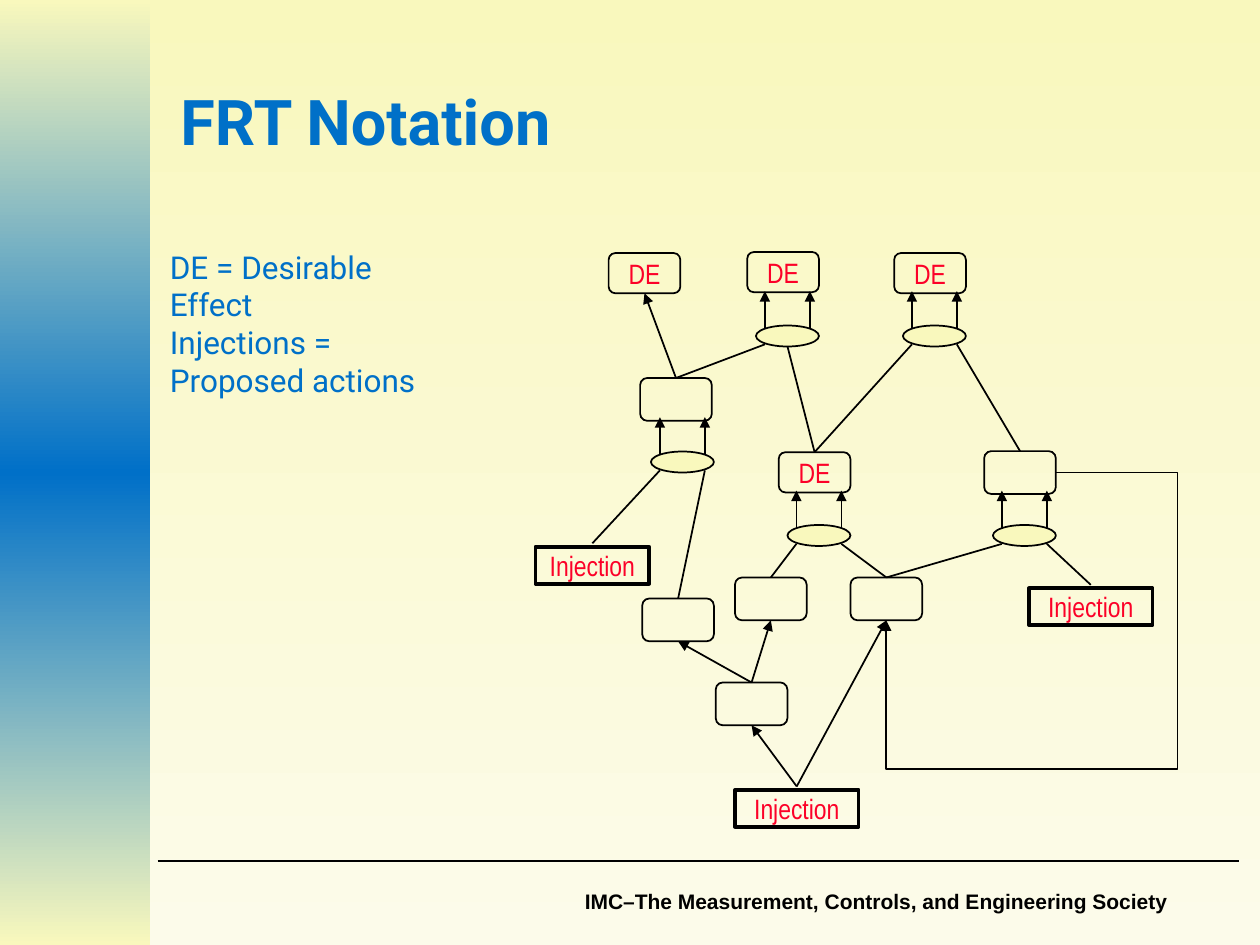
import collections
import copy

import pptx
import pptx.dml.color
import pptx.enum.shapes
import pptx.enum.text
import pptx.util
from lxml import etree
from pptx.oxml.ns import qn

Pt = pptx.util.Pt
RGBColor = pptx.dml.color.RGBColor
SHAPE = pptx.enum.shapes.MSO_SHAPE
CONNECTOR = pptx.enum.shapes.MSO_CONNECTOR
ALIGN = pptx.enum.text.PP_ALIGN
ANCHOR = pptx.enum.text.MSO_ANCHOR

BLACK = RGBColor(0x00, 0x00, 0x00)
RED = RGBColor(0xFC, 0x01, 0x28)
BLUE = RGBColor(0x00, 0x70, 0xC8)
CREAM = RGBColor(0xF9, 0xF8, 0xBD)
IVORY = RGBColor(0xFC, 0xFB, 0xEA)

EFFECT_WIDTH, EFFECT_HEIGHT = 41, 23
ENTITY_HEIGHT = 24.5
INJECTION_HEIGHT = 21
GATE_WIDTH, GATE_HEIGHT = 36, 12

LABEL_FONT = {"name": "Arial Narrow", "size": Pt(16)}
TITLE_FONT = {"name": "Roboto", "size": Pt(36), "bold": True}
LEGEND_FONT = {"name": "Roboto", "size": Pt(18)}
FOOTER_FONT = {"name": "Arial", "size": Pt(12), "bold": True}
TEXT_MARGINS = {"margin_left": Pt(7.2), "margin_right": Pt(7.2),
                "margin_top": Pt(3.6), "margin_bottom": Pt(3.6)}
LABEL_MARGINS = {"margin_left": Pt(1.4), "margin_right": Pt(1.4),
                 "margin_top": Pt(0.7), "margin_bottom": Pt(0.7)}

Node = collections.namedtuple("Node", "top bottom right")
Gate = collections.namedtuple("Gate", "left middle right")


def apply_format(target, values):
    for attribute, value in values.items():
        setattr(target, attribute, value)


class TreeSlide:
    def __init__(self, slide):
        self.slide = slide
        self.shapes = slide.shapes

    def gradient(self, fill, owner, colors):
        """Fill from top to bottom with evenly spaced colours."""
        fill.gradient()
        fill.gradient_angle = 270
        stops = owner.xpath(".//a:gsLst")[0]
        for _ in colors[2:]:
            stops.append(copy.deepcopy(stops[0]))
        for i, (stop, color) in enumerate(zip(fill.gradient_stops, colors)):
            stop.color.rgb = color
            stop.position = i / (len(colors) - 1)

    def set_text(self, frame, lines, font, color, align, margins, anchor):
        apply_format(frame, {"word_wrap": True, "vertical_anchor": anchor, **margins})
        for i, line in enumerate(lines):
            paragraph = frame.paragraphs[0] if i == 0 else frame.add_paragraph()
            paragraph.alignment = align
            run = paragraph.add_run()
            run.text = line
            apply_format(run.font, font)
            run.font.color.rgb = color

    def text(self, bounds, lines, font, color, align=ALIGN.LEFT, anchor=ANCHOR.TOP, **margins):
        box = self.shapes.add_textbox(*map(Pt, bounds))
        self.set_text(box.text_frame, lines, font, color, align,
                      {**TEXT_MARGINS, **margins}, anchor)

    def shape(self, kind, bounds, line_width=1):
        shape = self.shapes.add_shape(kind, *map(Pt, bounds))
        shape.shadow.inherit = False
        shape.fill.background()
        if line_width:
            shape.line.color.rgb = BLACK
            shape.line.width = Pt(line_width)
        else:
            shape.line.fill.background()
        return shape

    def band(self, bounds, colors):
        band = self.shape(SHAPE.RECTANGLE, bounds, line_width=0)
        self.gradient(band.fill, band._element, colors)

    def node(self, x, y, width=EFFECT_WIDTH, height=ENTITY_HEIGHT, label="",
             kind=SHAPE.ROUNDED_RECTANGLE, line_width=1):
        box = self.shape(kind, (x, y, width, height), line_width)
        if label:
            self.set_text(box.text_frame, [label], LABEL_FONT, RED, ALIGN.CENTER,
                          LABEL_MARGINS, ANCHOR.MIDDLE)
        center = x + width / 2
        return Node((center, y), (center, y + height), (x + width, y + height / 2))

    def effect(self, x, y):
        return self.node(x, y, height=EFFECT_HEIGHT, label="DE")

    def injection(self, x, y, width=70.6):
        box = self.node(x, y, width, INJECTION_HEIGHT, "Injection", SHAPE.RECTANGLE, 2.25)
        return box._replace(top=(box.top[0], y - 2))

    def gate(self, x, y):
        """Draw an AND ellipse with its two arrows up to the node above."""
        ellipse = self.shape(SHAPE.OVAL, (x, y, GATE_WIDTH, GATE_HEIGHT))
        ellipse.fill.solid()
        ellipse.fill.fore_color.rgb = CREAM
        left, right = x + 5.1, x + 30.8
        for stem in (left, right):
            self.line((stem, y + 2), (stem, y - 19.6), arrow=True)
        foot = y + 10.8
        return Gate((left, foot), (x + GATE_WIDTH / 2, y + GATE_HEIGHT), (right, foot))

    def line(self, start, end, arrow=False, kind=CONNECTOR.STRAIGHT):
        line = self.shapes.add_connector(kind, *map(Pt, start + end))
        line.line.color.rgb = BLACK
        line.line.width = Pt(1)
        if arrow:
            outline = line._element.spPr.find(qn("a:ln"))
            etree.SubElement(outline, qn("a:tailEnd"), type="triangle")
        etree.SubElement(line._element.spPr, qn("a:effectLst"))
        return line

    def loop(self, start, end, far_x, low_y):
        """Draw an arrow that leaves rightwards, turns down and returns from below."""
        loop = self.line(start, end, arrow=True, kind=CONNECTOR.ELBOW)
        geometry = loop._element.spPr.find(qn("a:prstGeom"))
        geometry.set("prst", "bentConnector4")
        guides = geometry.find(qn("a:avLst"))
        bends = {"adj1": (far_x - start[0]) / (end[0] - start[0]),
                 "adj2": (low_y - start[1]) / (end[1] - start[1])}
        for name, share in bends.items():
            etree.SubElement(guides, qn("a:gd"), name=name,
                             fmla=f"val {round(share * 100000)}")


def main():
    deck = pptx.Presentation()
    deck.slide_width, deck.slide_height = Pt(720), Pt(540)
    slide = deck.slides.add_slide(deck.slide_layouts[6])
    tree = TreeSlide(slide)

    tree.gradient(slide.background.fill, slide._element, [CREAM, IVORY])
    tree.band((0, 0, 85.7, 540), [CREAM, BLUE, CREAM])
    tree.text((264, 504, 414, 21.6),
              ["IMC–The Measurement, Controls, and Engineering Society"],
              FOOTER_FONT, BLACK, ALIGN.RIGHT, margin_right=Pt(10.5))
    tree.line((90, 492), (708, 492))
    tree.text((96, 24, 607.5, 90), ["FRT Notation"], TITLE_FONT, BLUE, anchor=ANCHOR.MIDDLE)
    tree.text((90, 138, 177, 93.6),
              ["DE = Desirable Effect", "Injections = Proposed actions"], LEGEND_FONT, BLUE)

    left_goal = tree.effect(347.8, 144.6)
    tree.effect(427, 144)
    tree.effect(511, 144.6)
    middle_effect = tree.effect(445, 258.4)

    left_entity = tree.node(365.8, 216)
    right_entity = tree.node(562.4, 257.8)
    lower_left = tree.node(367, 342)
    lower_middle = tree.node(420, 330)
    lower_right = tree.node(486, 330)
    base_entity = tree.node(409, 390)

    base_injection = tree.injection(420, 451.4)
    left_injection = tree.injection(306, 312.5, width=65)
    right_injection = tree.injection(588, 336.2)

    goal_gate = tree.gate(432, 186)
    right_goal_gate = tree.gate(516, 186)
    left_gate = tree.gate(372, 258)
    middle_gate = tree.gate(450, 300)
    right_gate = tree.gate(567.4, 300)

    for cause, gate_foot in (
            (left_entity, goal_gate.left), (middle_effect, goal_gate.middle),
            (middle_effect, right_goal_gate.left), (right_entity, right_goal_gate.right),
            (left_injection, left_gate.left), (lower_left, left_gate.right),
            (lower_middle, middle_gate.left), (lower_right, middle_gate.right),
            (lower_right, right_gate.left), (right_injection, right_gate.right)):
        tree.line(cause.top, gate_foot)

    for cause, result in (
            (left_entity, left_goal), (base_entity, lower_left), (base_entity, lower_middle),
            (base_injection, base_entity), (base_injection, lower_right)):
        tree.line(cause.top, result.bottom, arrow=True)

    tree.loop(right_entity.right, lower_right.bottom, far_x=673, low_y=439.6)
    deck.save("out.pptx")


if __name__ == "__main__":
    main()
